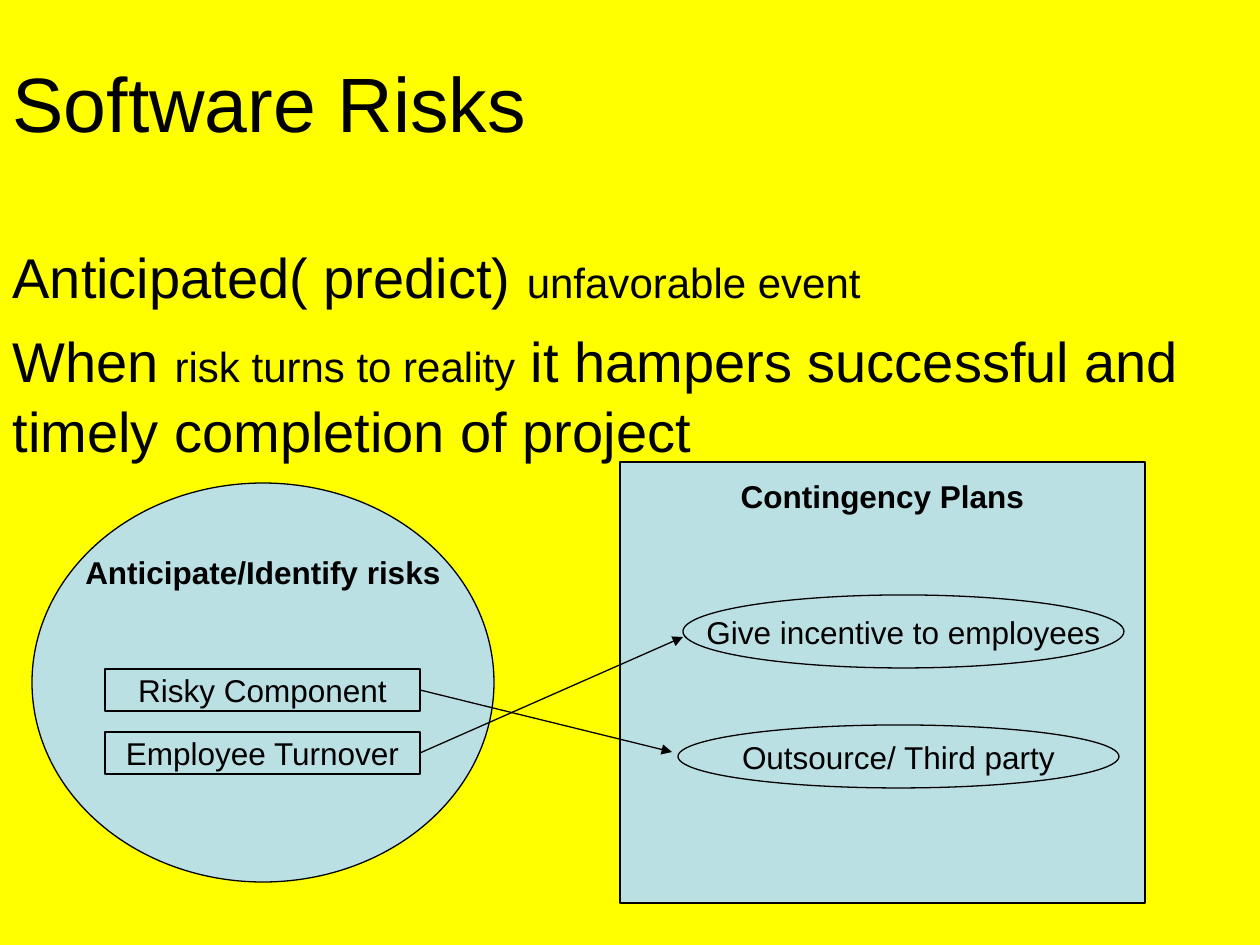
import dataclasses

import lxml.etree
import pptx
import pptx.dml.color
import pptx.enum.shapes
import pptx.enum.text
import pptx.oxml.ns
import pptx.util

EMU_PER_PX = 914400 / 126
BLACK, YELLOW, PALE_BLUE = "000000", "FFFF00", "BBE0E3"
RECT = pptx.enum.shapes.MSO_SHAPE.RECTANGLE
OVAL = pptx.enum.shapes.MSO_SHAPE.OVAL
TOP = pptx.enum.text.MSO_ANCHOR.TOP
MIDDLE = pptx.enum.text.MSO_ANCHOR.MIDDLE


@dataclasses.dataclass
class Node:
    """A labelled outline; a heading sits heading_inset px below its text top."""
    label: str
    form: pptx.enum.shapes.MSO_SHAPE
    left: int
    top: int
    width: int
    height: int
    heading_inset: int | None = None


GROUPS = [
    Node("Anticipate/Identify risks", OVAL, 32, 483, 462, 399, 12),
    Node("Contingency Plans", RECT, 620, 462, 525, 441, 15),
]
RISKS = [
    Node(label, RECT, 105, 669 + 63 * row, 315, 42)
    for row, label in enumerate(["Risky Component", "Employee Turnover"])
]
PLANS = [
    Node("Give incentive to employees", OVAL, 683, 595, 441, 73),
    Node("Outsource/ Third party", OVAL, 678, 725, 441, 63),
]
PLAN_ENDS = [(672, 752), (683, 637)]
STATEMENTS = [
    [("Anticipated( predict) ", 32), ("unfavorable event", 24)],
    [("When ", 32), ("risk turns to reality", 24),
     (" it hampers successful and timely completion of project", 32)],
]


def px(length: int) -> int:
    """Turn px into EMU."""
    return round(length * EMU_PER_PX)


def rgb(value: str) -> pptx.dml.color.RGBColor:
    """Turn a hex string into a colour."""
    return pptx.dml.color.RGBColor.from_string(value)


def place(shape, left: int, top: int, width: int, height: int) -> None:
    """Move and size a shape."""
    shape.left, shape.top = px(left), px(top)
    shape.width, shape.height = px(width), px(height)


def style(paragraph, size: int | None = None, bold: bool = False) -> None:
    """Set the font of a paragraph."""
    paragraph.font.name = "Arial"
    paragraph.font.color.rgb = rgb(BLACK)
    paragraph.font.bold = bold
    if size:
        paragraph.font.size = pptx.util.Pt(size)


def prepare_frame(placeholder, anchor):
    """Fix the size and anchor of a placeholder's text frame."""
    frame = placeholder.text_frame
    frame.auto_size = pptx.enum.text.MSO_AUTO_SIZE.NONE
    frame.word_wrap = True
    frame.vertical_anchor = anchor
    return frame


def write_title(slide) -> None:
    """Fill the title placeholder."""
    title = slide.shapes.title
    place(title, 0, 0, 1071, 203)
    frame = prepare_frame(title, MIDDLE)
    frame.text = "Software Risks"
    frame.paragraphs[0].alignment = pptx.enum.text.PP_ALIGN.LEFT
    style(frame.paragraphs[0], 44)


def write_statements(slide) -> None:
    """Fill the subtitle placeholder with the statements."""
    subtitle = slide.placeholders[1]
    place(subtitle, 0, 231, 1229, 714)
    frame = prepare_frame(subtitle, TOP)
    frame.margin_top = px(9)
    for index, statement in enumerate(STATEMENTS):
        paragraph = frame.add_paragraph() if index else frame.paragraphs[0]
        paragraph.alignment = pptx.enum.text.PP_ALIGN.LEFT
        paragraph.line_spacing = 1.04
        paragraph.space_before = pptx.util.Pt(8 if index else 0)
        style(paragraph)
        for text, size in statement:
            run = paragraph.add_run()
            run.text = text
            run.font.size = pptx.util.Pt(size)


def draw_node(slide, node: Node):
    """Draw a labelled outline."""
    shape = slide.shapes.add_shape(node.form, 0, 0, 0, 0)
    place(shape, node.left, node.top, node.width, node.height)
    shape.shadow.inherit = False
    shape.fill.solid()
    shape.fill.fore_color.rgb = rgb(PALE_BLUE)
    shape.line.color.rgb = rgb(BLACK)
    shape.line.width = pptx.util.Pt(0.75)
    frame = shape.text_frame
    frame.word_wrap = False
    frame.text = node.label
    is_heading = node.heading_inset is not None
    frame.vertical_anchor = TOP if is_heading else MIDDLE
    if is_heading:
        frame.margin_top = px(node.heading_inset)
    frame.paragraphs[0].alignment = pptx.enum.text.PP_ALIGN.CENTER
    style(frame.paragraphs[0], 18, is_heading)
    return shape


def draw_arrow(slide, risk, end: tuple[int, int]) -> None:
    """Draw an arrow from the right side of a risk to a plan."""
    arrow = slide.shapes.add_connector(
        pptx.enum.shapes.MSO_CONNECTOR.STRAIGHT, 0, 0, px(end[0]), px(end[1]))
    arrow.begin_connect(risk, 3)
    arrow.line.color.rgb = rgb(BLACK)
    arrow.line.width = pptx.util.Pt(0.75)
    qn = pptx.oxml.ns.qn
    lxml.etree.SubElement(arrow.line._get_or_add_ln(), qn("a:tailEnd"), type="triangle")
    lxml.etree.SubElement(arrow._element.spPr, qn("a:effectLst"))


def main() -> None:
    """Build the slide."""
    deck = pptx.Presentation()
    deck.slide_width, deck.slide_height = px(1260), px(945)
    slide = deck.slides.add_slide(deck.slide_layouts[0])
    slide.background.fill.solid()
    slide.background.fill.fore_color.rgb = rgb(YELLOW)
    write_title(slide)
    write_statements(slide)
    for group in GROUPS:
        draw_node(slide, group)
    risks = [draw_node(slide, risk) for risk in RISKS]
    for plan in PLANS:
        draw_node(slide, plan)
    for risk, end in zip(risks, PLAN_ENDS):
        draw_arrow(slide, risk, end)
    deck.save("out.pptx")


if __name__ == "__main__":
    main()
